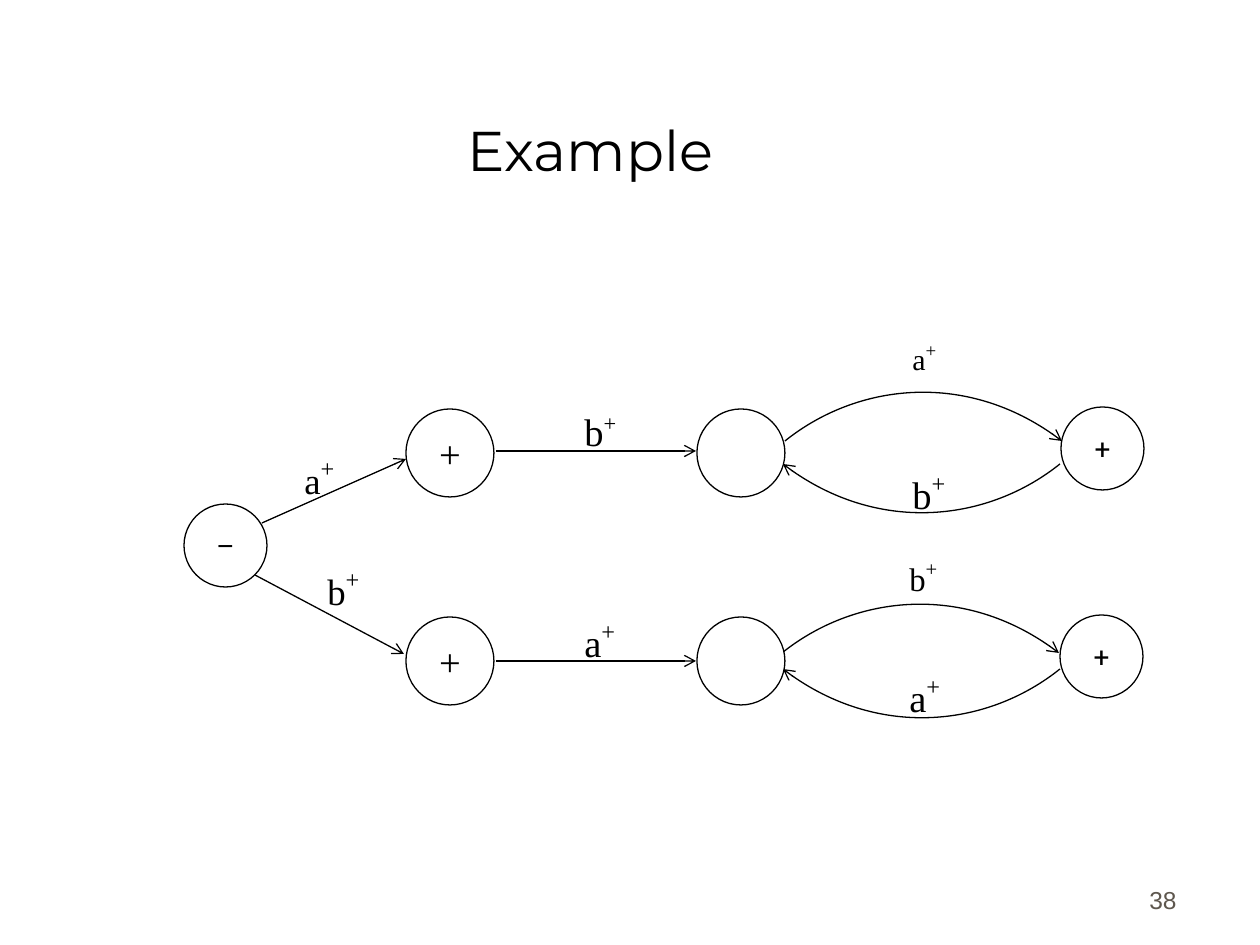
from lxml import etree
from pptx import Presentation
from pptx.dml.color import RGBColor
from pptx.enum.shapes import MSO_CONNECTOR, MSO_SHAPE
from pptx.enum.text import MSO_ANCHOR as ANCHOR, PP_ALIGN as ALIGN
from pptx.oxml.ns import qn
from pptx.util import Inches, Pt

PX = Inches(1) // 126
BLACK = RGBColor(0x00, 0x00, 0x00)
WHITE = RGBColor(0xFF, 0xFF, 0xFF)
GRAY = RGBColor(0x5E, 0x57, 0x4E)
SERIF, SANS = "Times New Roman", "Roboto"

# text, left, top, diameter, font, size
FINAL_STATES = [("+", 1061, 407, 83, SANS, 16), ("+", 1060, 615, 83, SANS, 16)]
OTHER_STATES = [("–", 184, 504, 83, SANS, 16)] + [
    (text, x, y, 88, SERIF, 22)
    for x, text in ((406, "+"), (697, "")) for y in (409, 617)
]
ARROWS = [
    (262, 523, 406, 459),
    (255, 575, 404, 654),
    (496, 451, 696, 451),
    (496, 661, 696, 661),
]
# start point, direction: 1 runs right over the top, -1 runs left underneath
ARCS = [(785, 441, 1), (1060, 464, -1), (782, 653, 1), (1060, 669, -1)]
ARC_STEPS = [(71, -57), (185, -71), (277, 0)]
# letter, left, top, width, height, letter size, plus size, line spacing
LABELS = [
    ("a", 292, 446, 88, 89, 21, 24, 1.0),
    ("b", 315, 557, 88, 68, 21, 24, 1.0),
    ("b", 572, 402, 123, 84, 22, 22, 1.0),
    ("a", 572, 609, 123, 84, 22, 24, 1.0),
    ("a", 900, 339, 95, 53, 17.1, 18.6, 0.8),
    ("b", 900, 461, 96, 63, 22, 24, 1.0),
    ("b", 897, 554, 88, 55, 18.7, 20.4, 0.9),
    ("a", 897, 664, 87, 63, 22, 24, 1.0),
]


def px(*values):
    return [v * PX for v in values]


def style_font(font, name, size, color=BLACK):
    font.name, font.size = name, Pt(size)
    font.color.rgb = color


def style_line(line):
    line.color.rgb = BLACK
    line.width = Pt(0.75)


def add_arrowhead(line):
    etree.SubElement(line._get_or_add_ln(), qn("a:tailEnd"), type="arrow")


def add_title(s, text):
    title = s.shapes.title
    title.left, title.top, title.width, title.height = px(55, 32, 1071, 157)
    tf = title.text_frame
    tf.text = text
    tf.vertical_anchor = ANCHOR.BOTTOM
    p = tf.paragraphs[0]
    p.alignment = ALIGN.CENTER
    style_font(p.font, "Montserrat", 32)


def add_state(s, text, x, y, size, font, points):
    sp = s.shapes.add_shape(MSO_SHAPE.OVAL, *px(x, y, size, size))
    sp.shadow.inherit = False
    sp.fill.solid()
    sp.fill.fore_color.rgb = WHITE
    style_line(sp.line)
    if text:
        tf = sp.text_frame
        tf.margin_left = tf.margin_right = tf.margin_top = tf.margin_bottom = 0
        tf.vertical_anchor = ANCHOR.MIDDLE
        tf.text = text
        p = tf.paragraphs[0]
        p.alignment = ALIGN.CENTER
        style_font(p.font, font, points)


def add_arrow(s, *ends):
    cxn = s.shapes.add_connector(MSO_CONNECTOR.STRAIGHT, *px(*ends))
    style_line(cxn.line)
    add_arrowhead(cxn.line)
    etree.SubElement(cxn._element.spPr, qn("a:effectLst"))


def add_arc(s, x, y, direction):
    """Draw an open path and turn its three segments into one Bézier curve."""
    builder = s.shapes.build_freeform(*px(x, y))
    builder.add_line_segments(
        [px(x + direction * dx, y + direction * dy) for dx, dy in ARC_STEPS],
        close=False,
    )
    sp = builder.convert_to_shape()
    segments = list(sp._element.iter(qn("a:lnTo")))
    path = segments[0].getparent()
    curve = etree.SubElement(path, qn("a:cubicBezTo"))
    for segment in segments:
        curve.append(segment[0])
        path.remove(segment)
    sp.shadow.inherit = False
    sp.fill.background()
    style_line(sp.line)
    add_arrowhead(sp.line)


def add_text_box(s, x, y, w, h):
    tf = s.shapes.add_textbox(*px(x, y, w, h)).text_frame
    tf.word_wrap = True
    return tf


def add_label(s, letter, x, y, w, h, size, plus_size, spacing):
    """Label an edge with a letter and a raised plus."""
    p = add_text_box(s, x, y, w, h).paragraphs[0]
    p.line_spacing = spacing
    for text, points in ((letter, size), ("+", plus_size)):
        r = p.add_run()
        r.text = text
        style_font(r.font, SERIF, points)
    r._r.get_or_add_rPr().set("baseline", "40000")


def add_page_number(s, number):
    tf = add_text_box(s, 927, 858, 262, 63)
    tf.vertical_anchor = ANCHOR.BOTTOM
    tf.text = number
    p = tf.paragraphs[0]
    p.alignment = ALIGN.RIGHT
    style_font(p.font, "Arial", 14, GRAY)


def main():
    prs = Presentation()
    prs.slide_width, prs.slide_height = Inches(10), Inches(7.5)
    s = prs.slides.add_slide(prs.slide_layouts[5])
    add_title(s, "Example")
    for state in FINAL_STATES:
        add_state(s, *state)
    for arc in ARCS:
        add_arc(s, *arc)
    for arrow in ARROWS:
        add_arrow(s, *arrow)
    for state in OTHER_STATES:
        add_state(s, *state)
    for label in LABELS:
        add_label(s, *label)
    add_page_number(s, "38")
    prs.save("out.pptx")


if __name__ == "__main__":
    main()
